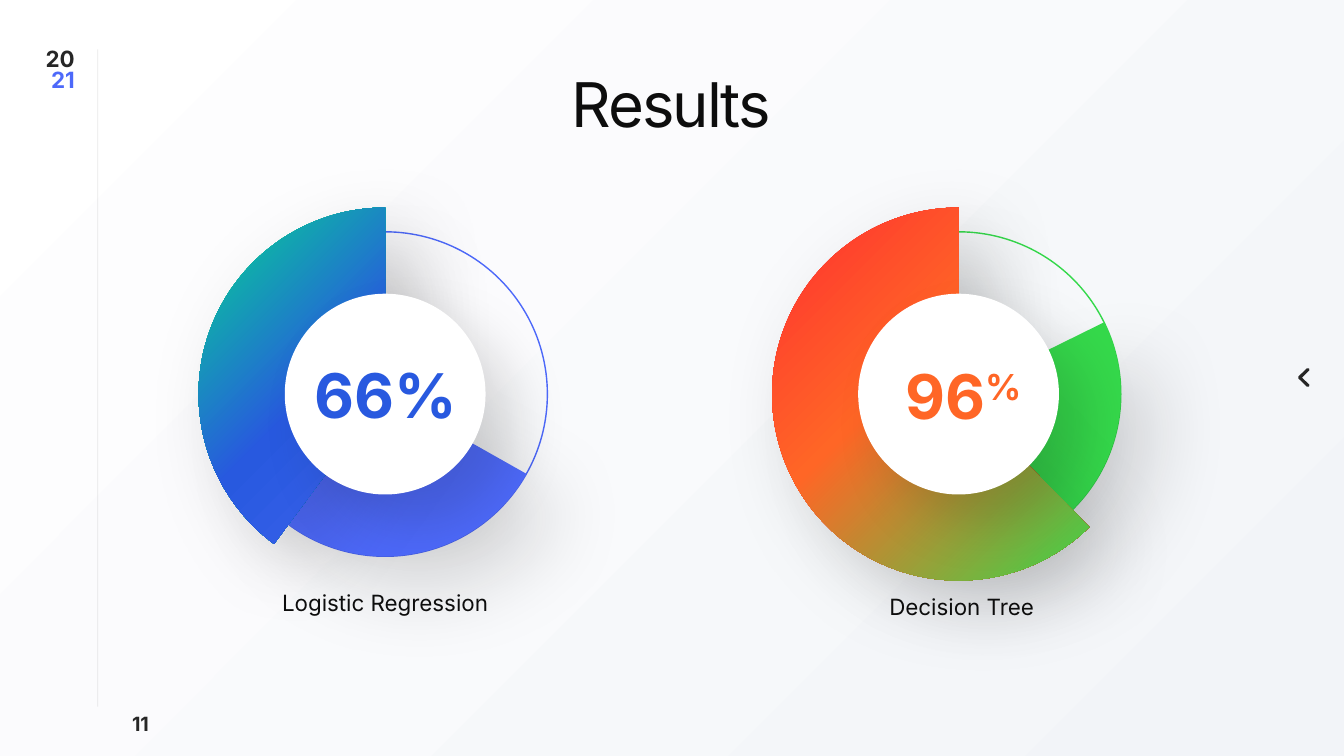
from pptx import Presentation
from pptx.dml.color import RGBColor
from pptx.enum.shapes import MSO_CONNECTOR, MSO_SHAPE
from pptx.enum.text import MSO_ANCHOR, PP_ALIGN
from pptx.oxml import parse_xml
from pptx.oxml.ns import nsdecls, qn
from pptx.util import Pt

OVAL, PIE = MSO_SHAPE.OVAL, MSO_SHAPE.PIE
CENTER, RIGHT = PP_ALIGN.CENTER, PP_ALIGN.RIGHT
WHITE = RGBColor(0xFF, 0xFF, 0xFF)
MIST = RGBColor(0xF2, 0xF4, 0xF8)
INK = RGBColor(0x0D, 0x0D, 0x0D)
CHARCOAL = RGBColor(0x26, 0x26, 0x26)
GRAY = RGBColor(0xA6, 0xA6, 0xA6)
INDIGO = RGBColor(0x4D, 0x69, 0xFA)
BLUE = RGBColor(0x28, 0x59, 0xDF)
TEAL = RGBColor(0x03, 0xD9, 0x90)
GREEN = RGBColor(0x35, 0xD9, 0x4B)
ORANGE = RGBColor(0xFF, 0x66, 0x26)
RED = RGBColor(0xFF, 0x2F, 0x30)

TITLE = "Results"
YEAR = [("20", CHARCOAL), ("21", INDIGO)]
PAGE_NUMBER = "11"
DIALS = [
    {"center": 275.1, "colors": (INDIGO, BLUE, TEAL), "inner_start": 29.44, "outer_start": 126.56,
     "number": [("66%", 0)], "number_at": (275.8, 251.3),
     "caption": "Logistic Regression", "caption_at": (275.1, 417.6)},
    {"center": 684.7, "colors": (GREEN, ORANGE, RED), "inner_start": 333.75, "outer_start": 45.52,
     "number": [("96", 0), ("%", 30000)], "number_at": (688.3, 252),
     "caption": "Decision Tree", "caption_at": (686.9, 419.8)},
]
DIAL_MIDDLE = 281.5
RING_RADIUS, OUTER_RADIUS, HUB_RADIUS = 115.9, 133.2, 71.7
PIE_END = 270
STOPS = (5, 60, 100)
FOCUS_BOTTOM_RIGHT = (100, 100, 0, 0)
FOCUS_TOP_LEFT = (0, 0, 100, 100)
# Chevron outline in tenths of a point
CHEVRON = [(9353, 2644), (9300, 2698), (9353, 2748), (9350, 2762), (9335, 2762),
           (9275, 2704), (9275, 2689), (9335, 2631), (9350, 2631)]


def set_gradient(fill, parent, colors, focus):
    """Give a shape or run a circular gradient that starts at the focus rectangle."""
    fill.background()
    stops = "".join(
        f'<a:gs pos="{stop * 1000}"><a:srgbClr val="{color}"/></a:gs>'
        for stop, color in zip(STOPS, colors))
    sides = " ".join(f'{side}="{value * 1000}"' for side, value in zip("ltrb", focus))
    gradient = parse_xml(
        f'<a:gradFill {nsdecls("a")}><a:gsLst>{stops}</a:gsLst>'
        f'<a:path path="circle"><a:fillToRect {sides}/></a:path></a:gradFill>')
    parent.replace(parent.find(qn("a:noFill")), gradient)


def set_shadow(shape, blur, distance):
    shape.shadow.inherit = False
    effects = shape._element.spPr.find(qn("a:effectLst"))
    effects.append(parse_xml(
        f'<a:outerShdw {nsdecls("a")} blurRad="{Pt(blur)}" dist="{Pt(distance)}" '
        f'dir="2700000" algn="tl" rotWithShape="0"><a:srgbClr val="{INK}">'
        '<a:alpha val="15000"/></a:srgbClr></a:outerShdw>'))


def add_run(paragraph, text, **formats):
    run = paragraph.add_run()
    run.text = text
    color = formats.pop("color", None)
    for name, value in {"name": "Inter", **formats}.items():
        setattr(run.font, name, value)
    if color is not None:
        run.font.color.rgb = color
    return run


def add_text_box(slide, left, top, width, height, alignment):
    frame = slide.shapes.add_textbox(Pt(left), Pt(top), Pt(width), Pt(height)).text_frame
    frame.word_wrap = True
    frame.paragraphs[0].alignment = alignment
    return frame


def add_round(slide, kind, center, radius, start=None):
    """Add a circle or a pie on the dial's axis, without line or shadow."""
    shape = slide.shapes.add_shape(kind, Pt(center - radius), Pt(DIAL_MIDDLE - radius),
                                   Pt(2 * radius), Pt(2 * radius))
    if start is not None:
        for index, degrees in enumerate((start, PIE_END)):
            shape.adjustments[index] = degrees * 0.6
    shape.shadow.inherit = False
    shape.fill.background()
    shape.line.fill.background()
    return shape


def add_dial(slide, dial):
    center, colors = dial["center"], dial["colors"]
    ring = add_round(slide, OVAL, center, RING_RADIUS)
    ring.line.color.rgb = colors[0]
    ring.line.width = Pt(1)

    inner = add_round(slide, PIE, center, RING_RADIUS, dial["inner_start"])
    inner.fill.solid()
    inner.fill.fore_color.rgb = colors[0]
    set_shadow(inner, 58, 34)

    outer = add_round(slide, PIE, center, OUTER_RADIUS, dial["outer_start"])
    set_gradient(outer.fill, outer._element.spPr, colors, FOCUS_BOTTOM_RIGHT)
    set_shadow(outer, 58, 24)

    hub = add_round(slide, OVAL, center, HUB_RADIUS)
    hub.fill.solid()
    hub.fill.fore_color.rgb = WHITE
    set_shadow(hub, 41, 30)

    middle, top = dial["number_at"]
    paragraph = add_text_box(slide, middle - 63.5, top, 127, 60.5, CENTER).paragraphs[0]
    for text, baseline in dial["number"]:
        run = add_run(paragraph, text, size=Pt(44), bold=True)
        properties = run._r.get_or_add_rPr()
        set_gradient(run.font.fill, properties, colors, FOCUS_TOP_LEFT)
        if baseline:
            properties.set("baseline", str(baseline))

    middle, top = dial["caption_at"]
    paragraph = add_text_box(slide, middle - 89.3, top, 178.6, 26.6, CENTER).paragraphs[0]
    add_run(paragraph, dial["caption"], size=Pt(16), color=INK)


def add_frame(slide):
    """Add the year, side rule, page number and chevron around the content."""
    number = add_text_box(slide, 60.5, 504.7, 53, 24.5, RIGHT)
    add_run(number.paragraphs[0], PAGE_NUMBER, size=Pt(14), bold=True, color=CHARCOAL)

    year = add_text_box(slide, 20.2, 32.4, 40.3, 38.2, RIGHT)
    for index, (text, color) in enumerate(YEAR):
        paragraph = year.add_paragraph() if index else year.paragraphs[0]
        paragraph.alignment = RIGHT
        paragraph.line_spacing = 0.8
        add_run(paragraph, text, size=Pt(16), bold=True, color=color)

    rule = slide.shapes.add_connector(MSO_CONNECTOR.STRAIGHT, Pt(69.8), Pt(35.3), Pt(69.8), Pt(504.7))
    rule.line.color.rgb = GRAY
    rule.line.width = Pt(0.5)
    properties = rule._element.spPr
    color = properties.find(".//" + qn("a:srgbClr"))
    color.append(parse_xml(f'<a:alpha {nsdecls("a")} val="26000"/>'))
    properties.append(parse_xml(f'<a:effectLst {nsdecls("a")}/>'))

    builder = slide.shapes.build_freeform(*CHEVRON[0], scale=Pt(0.1))
    builder.add_line_segments(CHEVRON[1:], close=True)
    chevron = builder.convert_to_shape()
    chevron.shadow.inherit = False
    chevron.fill.solid()
    chevron.fill.fore_color.rgb = CHARCOAL
    chevron.line.fill.background()


def add_title(slide):
    title = slide.shapes.title
    for name, value in {"left": 82.8, "top": 43.2, "width": 793.5, "height": 60.5}.items():
        setattr(title, name, Pt(value))
    title.text_frame.vertical_anchor = MSO_ANCHOR.TOP
    paragraph = title.text_frame.paragraphs[0]
    paragraph.alignment = CENTER
    run = add_run(paragraph, TITLE, size=Pt(44), color=INK)
    run._r.get_or_add_rPr().set("spc", "-150")


def main():
    presentation = Presentation()
    presentation.slide_width, presentation.slide_height = Pt(960), Pt(540)
    slide = presentation.slides.add_slide(presentation.slide_layouts[5])
    background = slide.background.fill
    background.gradient()
    background.gradient_angle = 315
    for stop, position, color in zip(background.gradient_stops, (0, 0.99), (WHITE, MIST)):
        stop.position = position
        stop.color.rgb = color
    add_frame(slide)
    add_title(slide)
    for dial in DIALS:
        add_dial(slide, dial)
    presentation.save("out.pptx")


if __name__ == "__main__":
    main()
